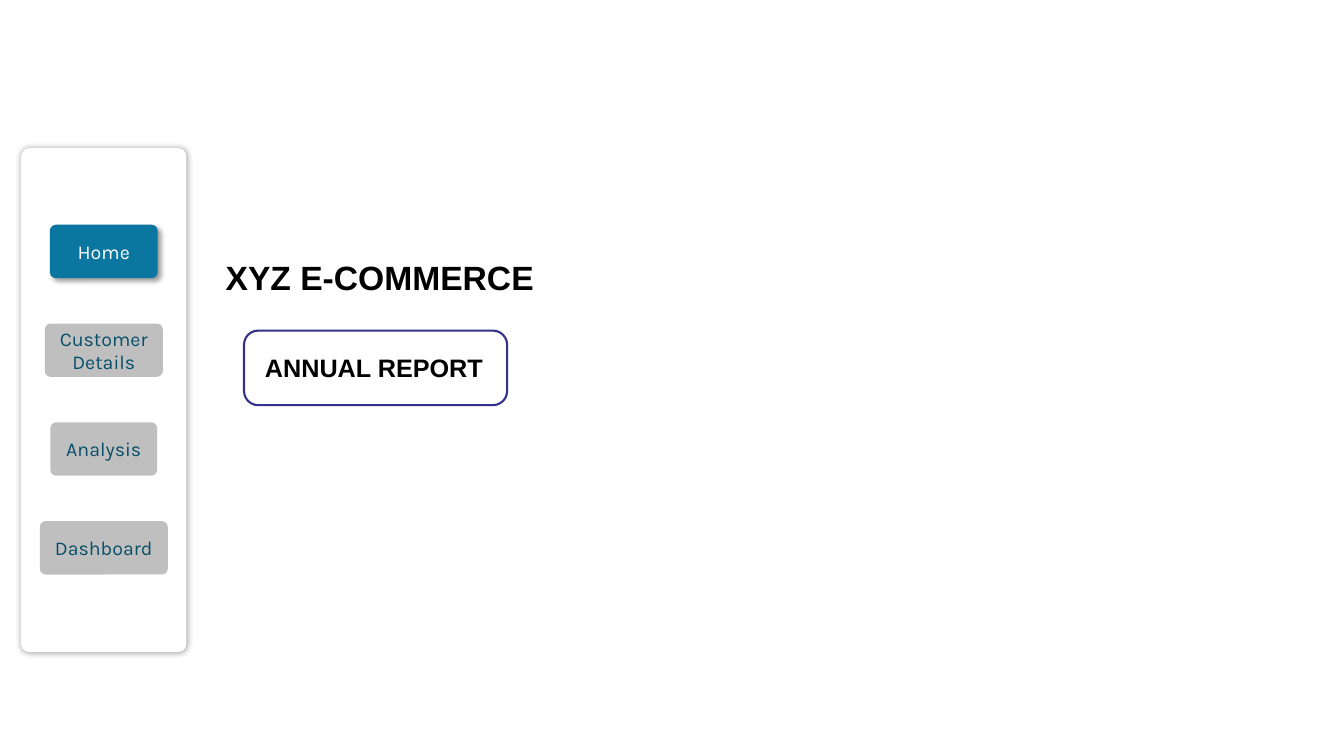
from dataclasses import dataclass

from lxml import etree
from pptx import Presentation
from pptx.dml.color import RGBColor
from pptx.enum.shapes import MSO_SHAPE
from pptx.enum.text import MSO_ANCHOR, PP_ALIGN
from pptx.oxml.ns import qn
from pptx.util import Inches, Pt

ROUNDED = MSO_SHAPE.ROUNDED_RECTANGLE
MIDDLE = MSO_ANCHOR.MIDDLE
CENTER = PP_ALIGN.CENTER
LEFT = PP_ALIGN.LEFT
BLANK_LAYOUT = 6


@dataclass(frozen=True)
class Theme:
    """Colours, fonts and type sizes of the slide."""
    white: str = "FFFFFF"
    black: str = "000000"
    active: str = "0B76A0"
    idle: str = "BFBFBF"
    idle_text: str = "084F6A"
    frame: str = "35308C"
    menu_font: str = "Karla"
    heading_font: str = "Arial"
    menu_size: int = 14
    title_size: int = 24
    subtitle_size: int = 18


THEME = Theme()
MENU_CENTER = 1.03
MENU_TOP = 2.23
MENU_PITCH = 0.98
BUTTON_HEIGHT = 0.53
MENU = [("Home", 1.07), ("Customer Details", 1.17),
        ("Analysis", 1.06), ("Dashboard", 1.27)]


def add_rounded(page, left, top, width, height, corner, fill=None, line=None):
    """Add a rounded rectangle with an optional fill and outline."""
    box = page.shapes.add_shape(ROUNDED, Inches(left), Inches(top),
                                Inches(width), Inches(height))
    box.adjustments[0] = corner
    box.shadow.inherit = False
    if fill:
        box.fill.solid()
        box.fill.fore_color.rgb = RGBColor.from_string(fill)
    else:
        box.fill.background()
    if line:
        box.line.color.rgb = RGBColor.from_string(line)
        box.line.width = Pt(1.5)
    else:
        box.line.fill.background()
    return box


def add_shadow(box, blur, distance, degrees):
    """Give a shape a soft black outer shadow."""
    effects = box._element.spPr.find(qn("a:effectLst"))
    shadow = etree.SubElement(
        effects, qn("a:outerShdw"), blurRad=str(Pt(blur)),
        dist=str(Pt(distance)), dir=str(degrees * 60000), rotWithShape="0")
    color = etree.SubElement(shadow, qn("a:srgbClr"), val=THEME.black)
    etree.SubElement(color, qn("a:alpha"), val="40000")


def write_text(box, text, align, color, **font_format):
    """Write one formatted paragraph into a shape."""
    box.text_frame.word_wrap = True
    para = box.text_frame.paragraphs[0]
    para.alignment = align
    span = para.add_run()
    span.text = text
    span.font.color.rgb = RGBColor.from_string(color)
    for name, value in font_format.items():
        setattr(span.font, name, value)


def add_button(page, index, label, width):
    """Add a menu button, with the first one shown as active."""
    active = index == 0
    button = add_rounded(page, MENU_CENTER - width / 2,
                         MENU_TOP + index * MENU_PITCH, width, BUTTON_HEIGHT,
                         0.11, THEME.active if active else THEME.idle)
    if active:
        add_shadow(button, 4, 3, 45)
    button.text_frame.vertical_anchor = MIDDLE
    write_text(button, label, CENTER,
               THEME.white if active else THEME.idle_text,
               name=THEME.menu_font, size=Pt(THEME.menu_size))


def add_heading(page, text, left, top, width, height, size):
    """Add a bold heading in a text box."""
    box = page.shapes.add_textbox(Inches(left), Inches(top),
                                  Inches(width), Inches(height))
    write_text(box, text, LEFT, THEME.black, name=THEME.heading_font,
               size=Pt(size), bold=True)


def main():
    """Build the home slide and save the deck."""
    deck = Presentation()
    deck.slide_width = Inches(13.33)
    deck.slide_height = Inches(7.5)
    page = deck.slides.add_slide(deck.slide_layouts[BLANK_LAYOUT])
    panel = add_rounded(page, 0.21, 1.47, 1.64, 5, 0.05, THEME.white)
    add_shadow(panel, 5, 0, 0)
    for index, (label, width) in enumerate(MENU):
        add_button(page, index, label, width)
    add_heading(page, "XYZ E-COMMERCE", 2.14, 2.5, 3.89, 0.5, THEME.title_size)
    add_heading(page, "ANNUAL REPORT", 2.53, 3.45, 2.43, 0.4,
                THEME.subtitle_size)
    add_rounded(page, 2.42, 3.28, 2.61, 0.74, 0.19, line=THEME.frame)
    deck.save("out.pptx")


if __name__ == "__main__":
    main()
